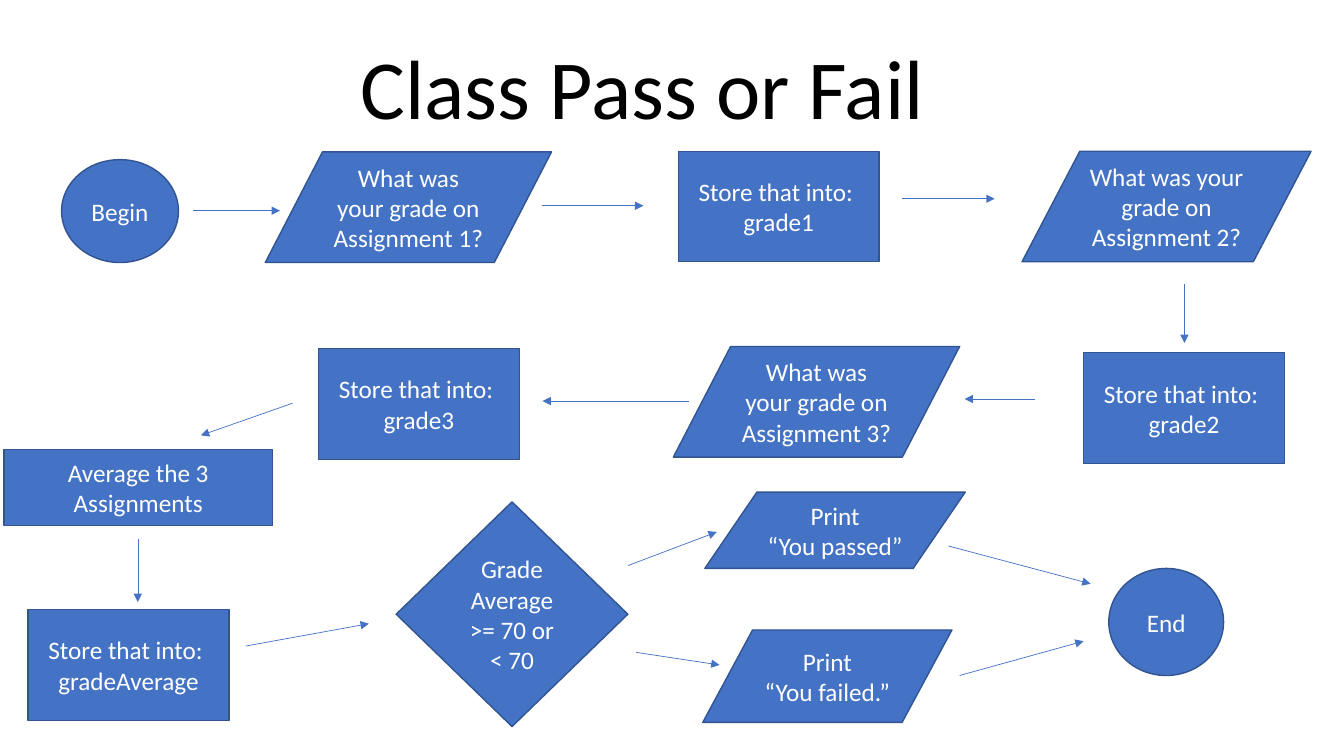
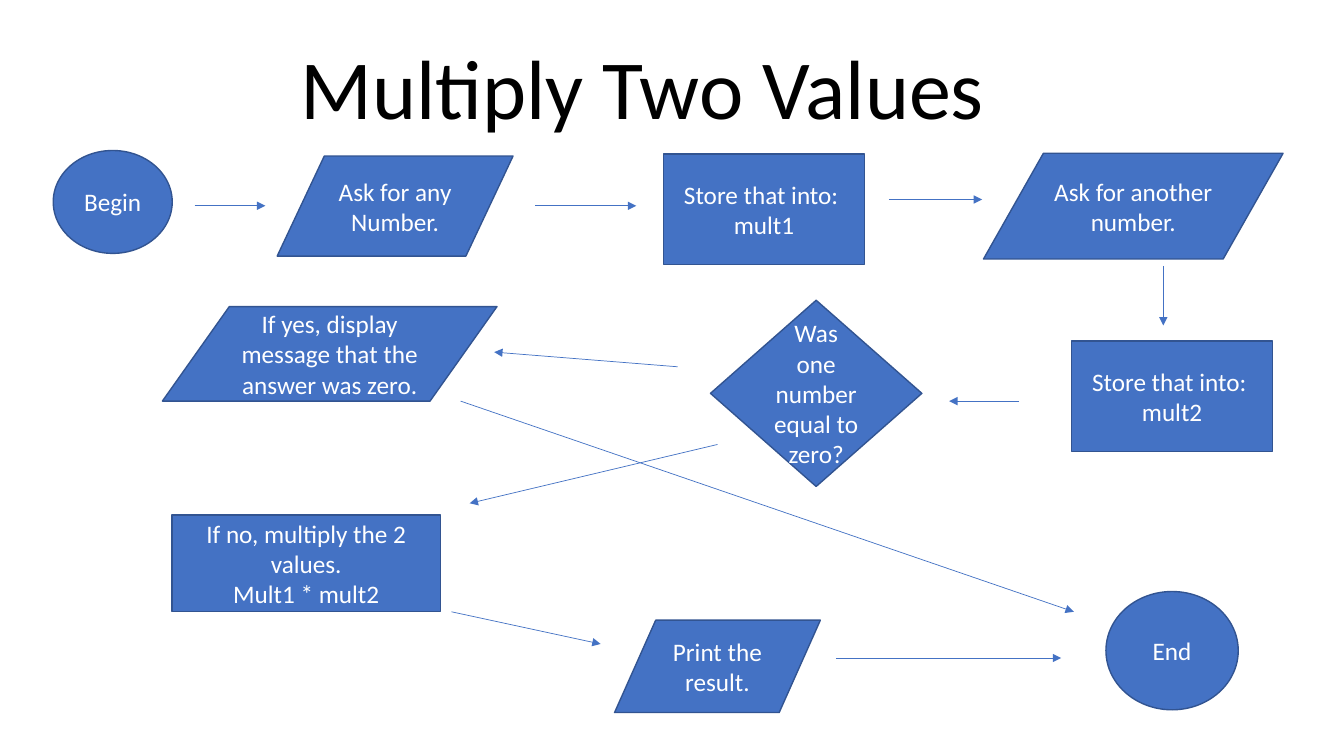
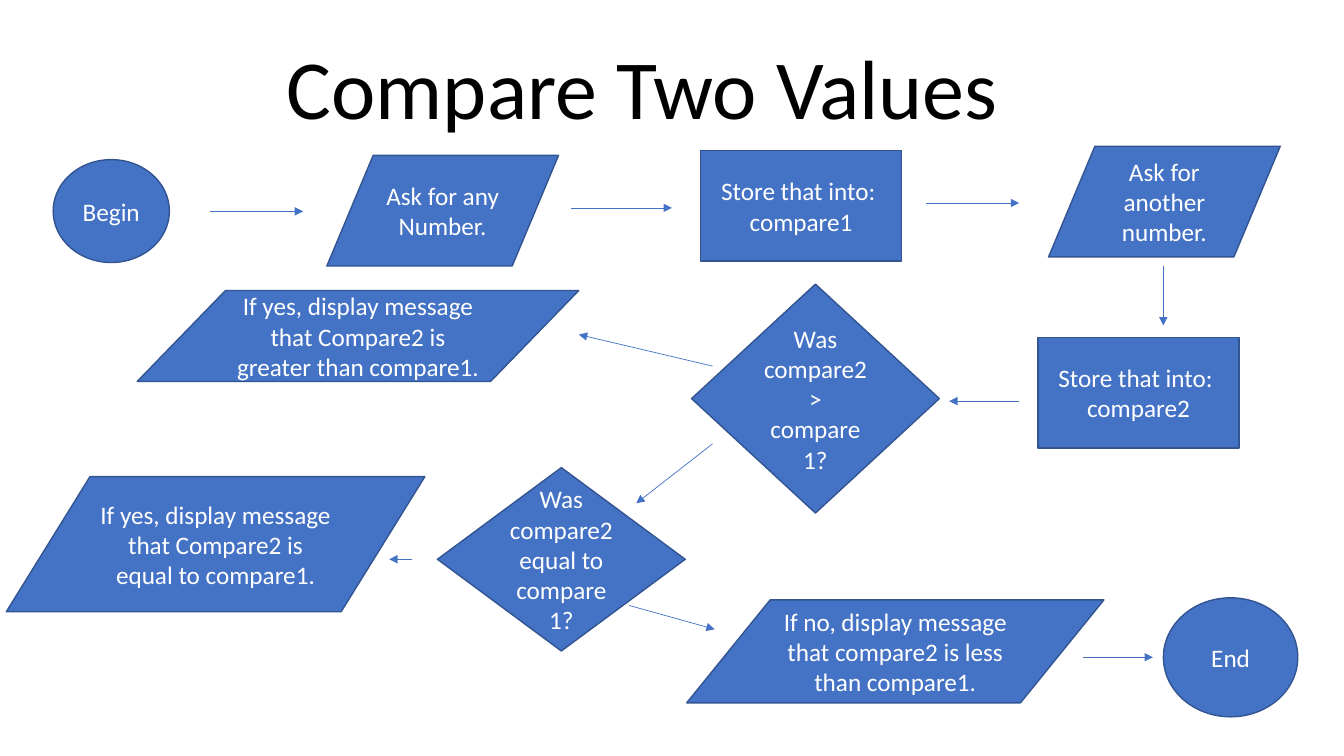
from lxml import etree
from pptx import Presentation
from pptx.dml.color import RGBColor
from pptx.enum.shapes import MSO_CONNECTOR, MSO_SHAPE
from pptx.enum.text import MSO_ANCHOR, PP_ALIGN
from pptx.oxml.ns import qn
from pptx.util import Pt

STRAIGHT = MSO_CONNECTOR.STRAIGHT
PROCESS = MSO_SHAPE.FLOWCHART_PROCESS
DATA = MSO_SHAPE.FLOWCHART_DATA
DECISION = MSO_SHAPE.FLOWCHART_DECISION
TERMINAL = MSO_SHAPE.FLOWCHART_CONNECTOR
MIDDLE, BOTTOM = MSO_ANCHOR.MIDDLE, MSO_ANCHOR.BOTTOM
CENTER = PP_ALIGN.CENTER


class Flowchart:
    """Hold the shared flowchart style and the slide being drawn."""

    COLOURS = {"paper": "FFFFFF", "step": "4472C4", "border": "325491",
               "title": "000000", "label": "FFFFFF"}
    FONT = "Calibri"
    STORE_SIZE = (143.5, 79)

    def __init__(self):
        self.deck = Presentation()
        self.deck.slide_width, self.deck.slide_height = Pt(960), Pt(540)
        self.slide = None

    def colour(self, name):
        return RGBColor.from_string(self.COLOURS[name])

    def add_lines(self, frame, lines, size, colour, anchor, spacing=None):
        frame.word_wrap = True
        frame.vertical_anchor = anchor
        for index, line in enumerate(lines):
            paragraph = frame.add_paragraph() if index else frame.paragraphs[0]
            paragraph.alignment = CENTER
            if spacing:
                paragraph.line_spacing = spacing
            run = paragraph.add_run()
            run.text = line
            run.font.name = self.FONT
            run.font.size = Pt(size)
            run.font.color.rgb = self.colour(colour)

    def start(self, title):
        self.slide = self.deck.slides.add_slide(self.deck.slide_layouts[6])
        background = self.slide.background.fill
        background.solid()
        background.fore_color.rgb = self.colour("paper")
        heading = self.slide.shapes.add_textbox(Pt(189.5), Pt(20), Pt(538.5), Pt(81.5))
        self.add_lines(heading.text_frame, [title], 60, "title", BOTTOM, 0.9)

    def step(self, kind, left, top, width, height, *lines):
        box = self.slide.shapes.add_shape(kind, Pt(left), Pt(top), Pt(width), Pt(height))
        box.shadow.inherit = False
        box.fill.solid()
        box.fill.fore_color.rgb = self.colour("step")
        box.line.color.rgb = self.colour("border")
        box.line.width = Pt(1)
        self.add_lines(box.text_frame, lines, 18, "label", MIDDLE)

    def store(self, left, top, variable):
        self.step(PROCESS, left, top, *self.STORE_SIZE, "Store that into: ", variable)

    def arrows(self, *routes):
        for route in routes:
            arrow = self.slide.shapes.add_connector(STRAIGHT, *map(Pt, route))
            arrow.line.color.rgb = self.colour("step")
            arrow.line.width = Pt(0.5)
            properties = arrow.element.spPr
            etree.SubElement(properties.find(qn("a:ln")), qn("a:tailEnd"), type="triangle")
            etree.SubElement(properties, qn("a:effectLst"))


def draw_class_grade(chart):
    chart.start("Class Pass or Fail")
    chart.step(TERMINAL, 44, 114, 83.5, 73.5, "Begin")
    questions = [(189.5, 108.5, 204.5), (730, 108, 206.5), (481, 247.5, 204.5)]
    stores = [(484.5, 108), (774, 252), (227.5, 249)]
    for number, (question, store) in enumerate(zip(questions, stores), 1):
        chart.step(DATA, *question, 79, f"What was your grade on Assignment {number}?")
        chart.store(*store, f"grade{number}")
    chart.step(PROCESS, 3, 321, 191.5, 54.5, "Average the 3 Assignments")
    chart.store(20, 435.5, "gradeAverage")
    chart.step(DECISION, 283, 358.5, 165.5, 160.5, "Grade Average >= 70 or < 70")
    chart.step(DATA, 503.5, 351.5, 186, 54.5, "Print", "“You passed”")
    chart.step(DATA, 502, 450, 178, 66, "Print", "“You failed.”")
    chart.step(TERMINAL, 792, 406, 82, 76.5, "End")
    chart.arrows(
        (138, 150.5, 200, 150.5), (387.5, 147, 459.5, 147),
        (644.5, 142, 710.5, 142), (846, 203, 846, 245),
        (739.5, 285, 689, 285), (492, 286.5, 387.5, 286.5),
        (209, 288, 143.5, 311), (98.5, 385, 98.5, 430),
        (175.5, 461.5, 263.5, 445.5), (448.5, 404, 512, 380),
        (454.5, 466, 514, 475), (677.5, 390, 779, 417),
        (685.5, 482.5, 774, 458))


def draw_multiply(chart):
    chart.start("Multiply Two Values")
    chart.step(TERMINAL, 38, 107.5, 85, 73.5, "Begin")
    chart.step(DATA, 198, 111.5, 168.5, 71.5, "Ask for any Number.")
    chart.store(474, 110, "mult1")
    chart.step(DATA, 702.5, 109.5, 214, 75.5, "Ask for another number.")
    chart.store(765.5, 243.5, "mult2")
    chart.step(DECISION, 507.5, 214.5, 151, 133, "Was one number equal to zero?")
    chart.step(DATA, 116, 219, 239, 67.5,
               "If yes, display message that the answer was zero.")
    chart.step(PROCESS, 123, 368, 191.5, 69, "If no, multiply the 2 values.", "Mult1 * mult2")
    chart.step(DATA, 439, 443, 147, 66, "Print the result.")
    chart.step(TERMINAL, 790, 422.5, 94.5, 84.5, "End")
    chart.arrows(
        (139, 147, 189.5, 147), (382.5, 147, 454.5, 147),
        (635, 142.5, 701.5, 142.5), (831, 190, 831, 232.5),
        (728, 286.5, 678, 286.5), (484, 262, 353, 251.5),
        (512.5, 317.5, 335.5, 359.5), (329, 286.5, 767, 437),
        (322.5, 437, 429, 460), (597, 470, 758, 470))


def draw_compare(chart):
    chart.start("Compare Two Values")
    chart.step(TERMINAL, 38, 114, 83, 73.5, "Begin")
    chart.step(DATA, 233.5, 111, 165.5, 79, "Ask for any Number.")
    chart.store(500.5, 107.5, "compare1")
    chart.step(DATA, 749, 104.5, 165.5, 79, "Ask for another number.")
    chart.store(741.5, 241, "compare2")
    chart.step(DECISION, 494, 203, 177, 163.5, "Was compare2 > compare 1?")
    chart.step(DATA, 98, 207.5, 315.5, 65,
               "If yes, display message that Compare2 is greater than compare1.")
    chart.step(DECISION, 312.5, 334, 177, 131, "Was compare2 equal to compare 1?")
    chart.step(DATA, 4.5, 340.5, 299, 96.5,
               "If yes, display message that Compare2 is equal to compare1.")
    chart.step(DATA, 490.5, 428.5, 298, 73.5,
               "If no, display message that compare2 is less than compare1.")
    chart.step(TERMINAL, 831, 427, 96, 85, "End")
    chart.arrows(
        (150, 151, 216.5, 151), (408, 148.5, 480, 148.5),
        (661.5, 145, 728, 145), (831, 190, 831, 232.5),
        (728, 286.5, 678, 286.5), (509, 261.5, 413.5, 239),
        (509, 317, 454.5, 359.5), (294.5, 399.5, 278, 399.5),
        (449.5, 432.5, 510.5, 449.5), (773.5, 469.5, 823.5, 469.5))


def main():
    chart = Flowchart()
    draw_class_grade(chart)
    draw_multiply(chart)
    draw_compare(chart)
    chart.deck.save("out.pptx")


if __name__ == "__main__":
    main()
